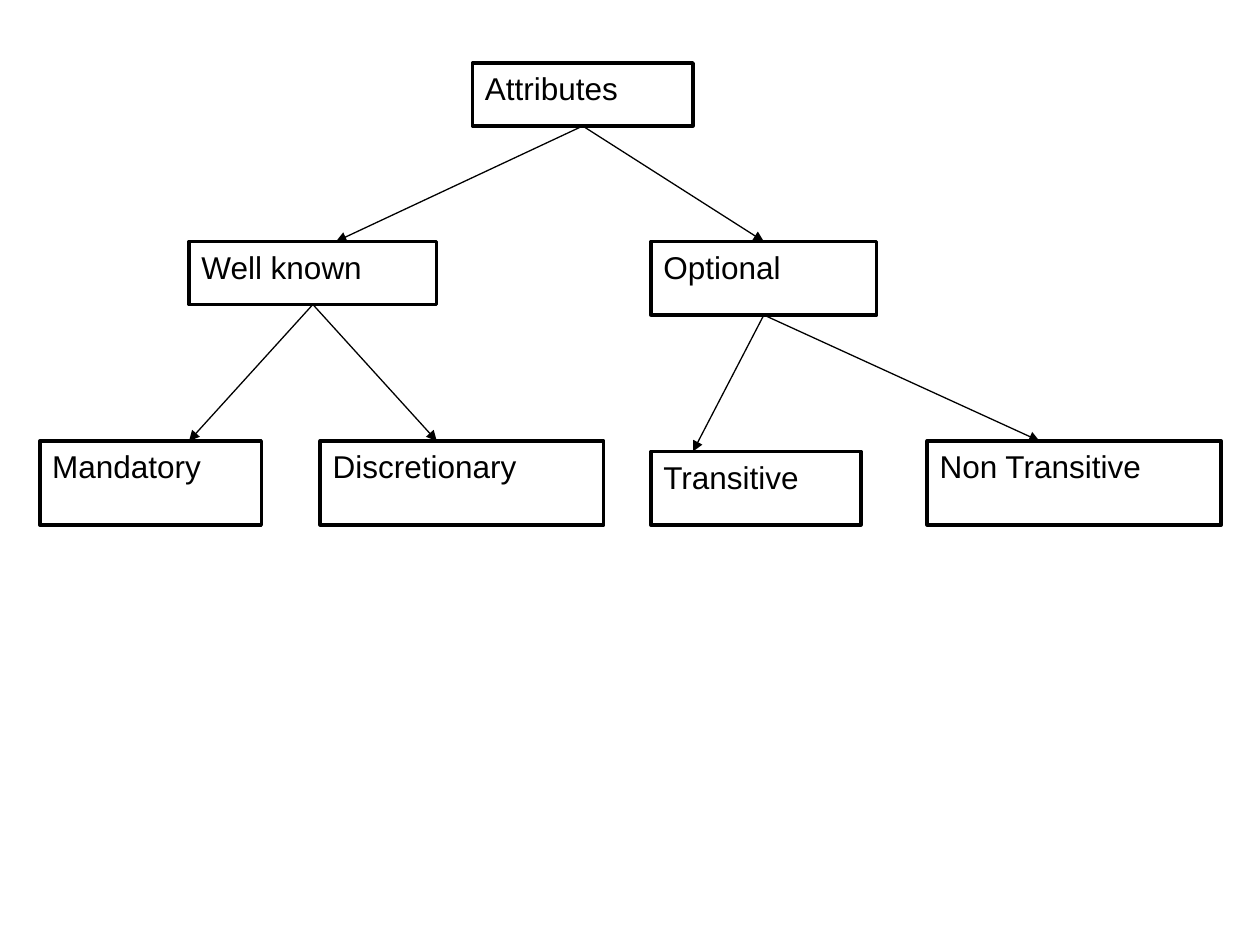
from dataclasses import dataclass

from pptx import Presentation
from pptx.dml.color import RGBColor as RGB
from pptx.enum.shapes import MSO_CONNECTOR as Conn, MSO_SHAPE as Shape
from pptx.enum.text import MSO_ANCHOR as Anchor, PP_ALIGN as Align
from pptx.oxml.xmlchemy import OxmlElement as Element
from pptx.util import Inches, Pt

COLS, ROWS = 120, 90
TOP, BOTTOM = 0, 2


@dataclass(frozen=True)
class Theme:
    """Colours, font and sizes of the slide."""
    ink: RGB = RGB(0, 0, 0)
    paper: RGB = RGB(255, 255, 255)
    font: str = "Arial"
    size: float = 18
    border: float = 2
    arrow: float = 0.75


@dataclass(frozen=True)
class Node:
    """A labelled rectangle in grid units; tip is the column its arrow meets, None the middle."""
    label: str
    rect: tuple
    tip: float | None = None
    children: tuple = ()


THEME = Theme()
ATTRIBUTES = Node("Attributes", (45, 6, 21, 6), children=(
    Node("Well known", (18, 23, 23.6, 6), 32, (
        Node("Mandatory", (3.8, 42, 21.1, 8), 18),
        Node("Discretionary", (30.5, 42, 27, 8), 41.6))),
    Node("Optional", (62, 23, 21.5, 7), None, (
        Node("Transitive", (62, 43, 20, 7), 66),
        Node("Non Transitive", (88.3, 42, 28, 8), 99)))))


def add_text(tf, text, size=THEME.size, color=THEME.ink, align=Align.LEFT, anchor=Anchor.TOP):
    """Write one formatted paragraph into a text frame."""
    tf.word_wrap = True
    tf.vertical_anchor = anchor
    p = tf.paragraphs[0]
    p.alignment = align
    r = p.add_run()
    r.text = text
    r.font.name, r.font.size = THEME.font, Pt(size)
    r.font.color.rgb = color


def add_node(s, label, box):
    """Draw a bordered rectangle with its label."""
    sp = s.shapes.add_shape(Shape.RECTANGLE, *box)
    sp.shadow.inherit = False
    sp.fill.solid()
    sp.fill.fore_color.rgb = THEME.paper
    sp.line.color.rgb = THEME.ink
    sp.line.width = Pt(THEME.border)
    add_text(sp.text_frame, label)
    return sp


def add_arrow(s, parent, child, tip_x):
    """Draw an arrow from the parent's bottom to the child's top edge."""
    cx = s.shapes.add_connector(Conn.STRAIGHT, 0, 0, tip_x or 0, child.top)
    cx.begin_connect(parent, BOTTOM)
    if tip_x is None:
        cx.end_connect(child, TOP)
    cx.line.color.rgb = THEME.ink
    cx.line.width = Pt(THEME.arrow)
    head = Element("a:tailEnd")
    head.set("type", "triangle")
    cx.line._get_or_add_ln().append(head)
    cx._element.spPr.append(Element("a:effectLst"))


def add_tree(s, box, node):
    """Draw a node and everything below it on a grid laid over the box."""
    left, top, width, height = box
    col, row = width / COLS, height / ROWS
    x, y, w, h = node.rect
    sp = add_node(s, node.label, (int(left + x * col), int(top + y * row), int(w * col), int(h * row)))
    for child in node.children:
        child_sp = add_tree(s, box, child)
        tip_x = None if child.tip is None else int(left + child.tip * col)
        add_arrow(s, sp, child_sp, tip_x)
    return sp


def main():
    """Build and save the slide."""
    prs = Presentation()
    prs.slide_width, prs.slide_height = Inches(10), Inches(7.5)
    s = prs.slides.add_slide(prs.slide_layouts[6])
    s.background.fill.solid()
    s.background.fill.fore_color.rgb = THEME.paper
    add_tree(s, (0, 0, prs.slide_width, prs.slide_height), ATTRIBUTES)
    prs.save("out.pptx")


if __name__ == "__main__":
    main()
